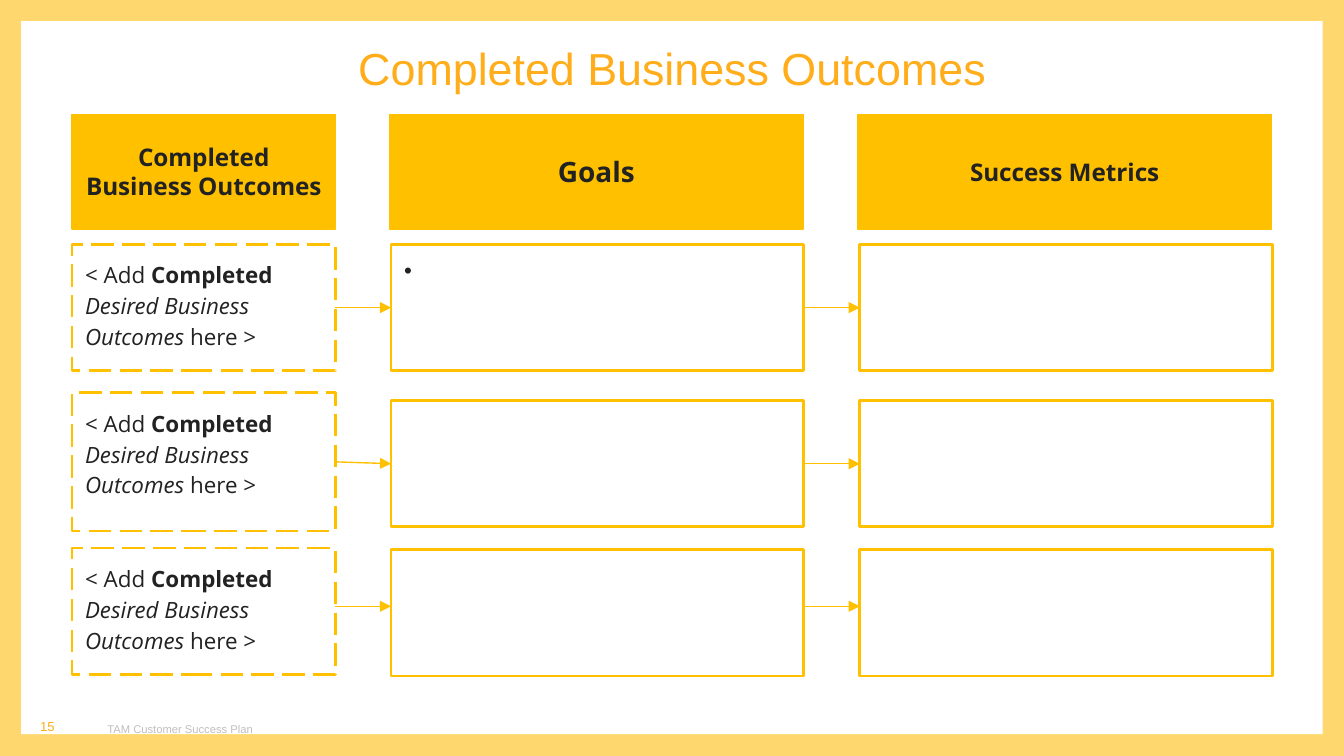
from lxml import etree
from pptx import Presentation
from pptx.dml.color import RGBColor
from pptx.enum import dml, shapes, text
from pptx.oxml.ns import qn
from pptx.util import Cm, Pt

AMBER = RGBColor(0xFF, 0xC0, 0x00)
ORANGE = RGBColor(0xFF, 0xAD, 0x1A)
PALE_AMBER = RGBColor(0xFE, 0xD7, 0x6E)
WHITE = RGBColor(0xFF, 0xFF, 0xFF)
INK = RGBColor(0x22, 0x22, 0x22)
GREY = RGBColor(0xBF, 0xBF, 0xBF)

PADDING = dict.fromkeys(
    ("margin_left", "margin_top", "margin_right", "margin_bottom"), Cm(0.25))


def add_box(left, top, width, height, fill=None, line=None, line_width=1.5):
    shape = slide.shapes.add_shape(shapes.MSO_SHAPE.RECTANGLE,
                                   Cm(left), Cm(top), Cm(width), Cm(height))
    shape.shadow.inherit = False
    for part, color in ((shape.fill, fill), (shape.line.fill, line)):
        if color is None:
            part.background()
        else:
            part.solid()
            part.fore_color.rgb = color
    if line is not None:
        shape.line.width = Pt(line_width)
    return shape


def write(shape, runs, size, font, color, frame_format, paragraph_format):
    """Fill a shape with one paragraph; runs are (text, font settings) pairs."""
    frame = shape.text_frame
    for name, value in {"word_wrap": True, **frame_format}.items():
        setattr(frame, name, value)
    paragraph = frame.paragraphs[0]
    for name, value in paragraph_format.items():
        setattr(paragraph, name, value)
    for words, settings in runs:
        run = paragraph.add_run()
        run.text = words
        run.font.color.rgb = color
        for name, value in {"size": Pt(size), "name": font, **settings}.items():
            setattr(run.font, name, value)
    return paragraph


presentation = Presentation()
presentation.slide_width, presentation.slide_height = Cm(25.4), Cm(14.29)
slide = presentation.slides.add_slide(presentation.slide_layouts[0])

# Background frame
slide.background.fill.solid()
slide.background.fill.fore_color.rgb = PALE_AMBER
panel = add_box(0.4, 0.4, 24.6, 13.48, fill=WHITE)
slide.shapes[0].element.addprevious(panel.element)

# Title
title, subtitle = slide.placeholders
subtitle.element.getparent().remove(subtitle.element)
title.left, title.top, title.width, title.height = 0, 0, Cm(25.4), Cm(1.83)
write(title, [("Completed Business Outcomes", {"bold": False})], 24, "Arial", ORANGE,
      {"margin_left": Cm(1.52), "margin_top": Cm(0.89), "margin_right": Cm(1.52),
       "margin_bottom": 0, "vertical_anchor": text.MSO_ANCHOR.TOP,
       "auto_size": text.MSO_AUTO_SIZE.NONE},
      {"alignment": text.PP_ALIGN.CENTER, "line_spacing": 0.9})

# Footer and page number
for words, left, width, size, color, margins in (
        ("TAM Customer Success Plan", 1.78, 18.59, 6, GREY, (0.25, 0.25)),
        ("15", 0, 1.78, 7, ORANGE, (0.76, 0.51))):
    footer = slide.shapes.add_textbox(Cm(left), Cm(13.18), Cm(width), Cm(1.11))
    write(footer, [(words, {})], size, "Arial", color,
          {**PADDING, "margin_left": Cm(margins[0]), "margin_right": Cm(margins[1]),
           "margin_bottom": Cm(0.76), "vertical_anchor": text.MSO_ANCHOR.BOTTOM}, {})

# Column headers
for words, left, width, size in (("Completed Business Outcomes", 1.36, 4.98, 13),
                                 ("Goals", 7.36, 7.82, 15),
                                 ("Success Metrics", 16.21, 7.82, 13)):
    header = add_box(left, 2.16, width, 2.17, AMBER, AMBER, 0.75)
    write(header, [(words, {"bold": True})], size, "Open Sans", INK,
          {**PADDING, "vertical_anchor": text.MSO_ANCHOR.MIDDLE},
          {"alignment": text.PP_ALIGN.CENTER})

# Rows: outcome, goals and metrics
OUTCOME_RUNS = [("< Add ", {}), ("Completed ", {"bold": True}),
                ("Desired Business Outcomes ", {"italic": True}), ("here >", {})]
TOP_LEFT = {**PADDING, "vertical_anchor": text.MSO_ANCHOR.TOP}
rows = []
for outcome_top, outcome_height, top in ((4.62, 2.39, 4.62),
                                         (7.42, 2.62, 7.57),
                                         (10.36, 2.39, 10.39)):
    outcome = add_box(1.36, outcome_top, 4.98, outcome_height, line=AMBER)
    outcome.line.dash_style = dml.MSO_LINE.LONG_DASH
    write(outcome, OUTCOME_RUNS, 12, "Open Sans", INK, TOP_LEFT,
          {"alignment": text.PP_ALIGN.LEFT, "line_spacing": 1.15})
    goals, metrics = (add_box(left, top, 7.8, 2.39, line=AMBER)
                      for left in (7.39, 16.25))
    rows.append((outcome, goals, metrics))

# Open bullet in the first goals box
bullet = write(rows[0][1], [(" ", {})], 12, "Open Sans", INK, TOP_LEFT,
               {"alignment": text.PP_ALIGN.LEFT})
properties = bullet._p.get_or_add_pPr()
properties.set("marL", str(Cm(0.48)))
properties.set("indent", str(-Cm(0.48)))
etree.SubElement(properties, qn("a:buFont")).set("typeface", "Arial")
etree.SubElement(properties, qn("a:buChar")).set("char", "•")

# Arrows; those of the last row run slightly above the middle of the boxes
for row in rows:
    for source, target in zip(row, row[1:]):
        arrow = slide.shapes.add_connector(
            shapes.MSO_CONNECTOR.STRAIGHT,
            source.left + source.width, Cm(11.46), target.left, Cm(11.46))
        if row is not rows[-1]:
            arrow.begin_connect(source, 3)
            arrow.end_connect(target, 1)
        arrow.line.color.rgb = AMBER
        arrow.line.width = Pt(0.75)
        etree.SubElement(arrow.line._get_or_add_ln(), qn("a:tailEnd")).set("type", "triangle")
        etree.SubElement(arrow._element.spPr, qn("a:effectLst"))

presentation.save("out.pptx")
